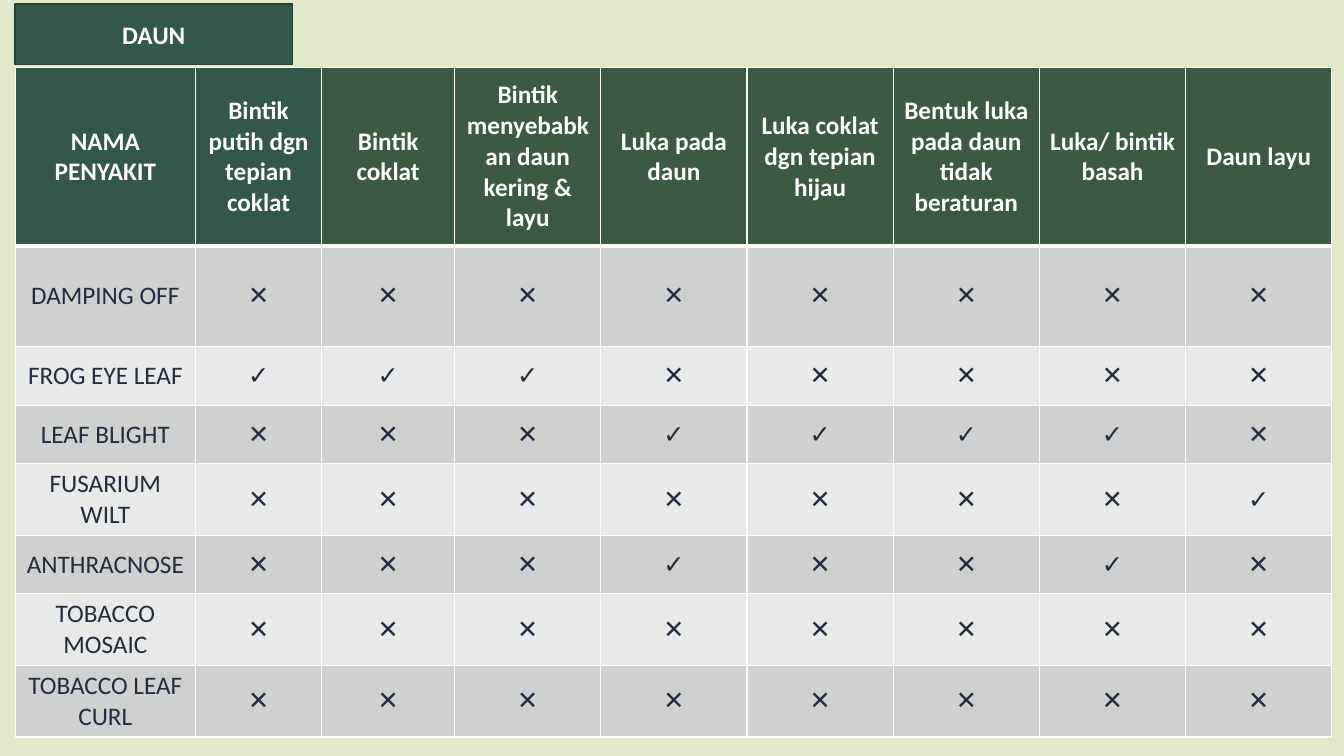
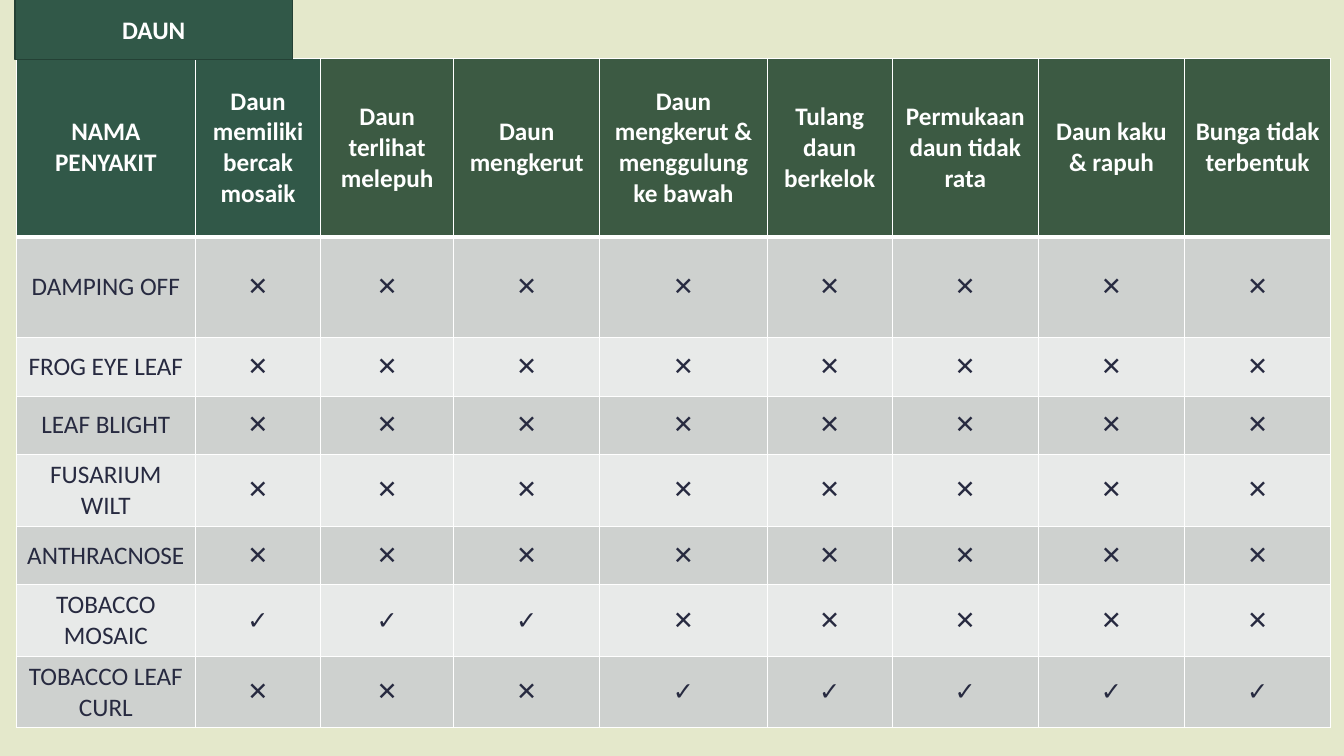
from lxml.etree import SubElement
from pptx import Presentation
from pptx.dml.color import RGBColor
from pptx.enum.text import MSO_ANCHOR, MSO_AUTO_SIZE, PP_ALIGN
from pptx.oxml import parse_xml
from pptx.oxml.ns import nsdecls, qn
from pptx.util import Inches, Pt

COLORS = {
    "background": "E4E8CB",
    "teal": "315848",
    "green": "3C5A43",
    "outline": "244135",
    "band_dark": "CED1CF",
    "band_light": "E8EAE9",
    "ink": "272A40",
    "white": "FFFFFF",
}
FONT = "Calibri"
TEXT_SIZE = 18
TICK, CROSS = "✓", "✕"

DISEASES = [
    "DAMPING OFF", "FROG EYE LEAF", "LEAF BLIGHT", "FUSARIUM WILT",
    "ANTHRACNOSE", "TOBACCO MOSAIC", "TOBACCO LEAF CURL",
]
ROW_HEIGHTS = [1.77, 1.0] + [0.58] * 6

# Ticks give, for each disease, the numbers of the symptom columns that apply
PAGES = [
    {
        "title_top": 0.04,
        "table_at": (0.15, 0.67),
        "widths": [1.79, 1.25, 1.32] + [1.45] * 6,
        "symptoms": [
            "Bintik putih dgn tepian coklat", "Bintik coklat",
            "Bintik menyebabkan daun kering & layu", "Luka pada daun",
            "Luka coklat dgn tepian hijau",
            "Bentuk luka pada daun tidak beraturan",
            "Luka/ bintik basah", "Daun layu",
        ],
        "ticks": {
            "FROG EYE LEAF": (1, 2, 3),
            "LEAF BLIGHT": (4, 5, 6, 7),
            "FUSARIUM WILT": (8,),
            "ANTHRACNOSE": (4, 7),
        },
    },
    {
        "title_top": -0.01,
        "table_at": (0.16, 0.58),
        "widths": [1.78, 1.24, 1.32, 1.45, 1.66, 1.24] + [1.45] * 3,
        "symptoms": [
            "Daun memiliki bercak mosaik", "Daun terlihat melepuh",
            "Daun mengkerut", "Daun mengkerut & menggulung ke bawah",
            "Tulang daun berkelok", "Permukaan daun tidak rata",
            "Daun kaku & rapuh", "Bunga tidak terbentuk",
        ],
        "ticks": {
            "TOBACCO MOSAIC": (1, 2, 3),
            "TOBACCO LEAF CURL": (4, 5, 6, 7, 8),
        },
    },
]


def rgb(name):
    return RGBColor.from_string(COLORS[name])


def paint(fill, color):
    fill.solid()
    fill.fore_color.rgb = rgb(color)


def write(frame, text, color, bold):
    """Put one centred paragraph into a text frame."""
    frame.text = text
    para = frame.paragraphs[0]
    para.alignment = PP_ALIGN.CENTER
    para.font.name = FONT
    para.font.size = Pt(TEXT_SIZE)
    para.font.bold = bold
    para.font.color.rgb = rgb(color)


def add_borders(cell, top, bottom):
    """Draw white borders; top and bottom widths are in points."""
    properties = cell._tc.get_or_add_tcPr()
    for side, width in (("L", 1), ("R", 1), ("T", top), ("B", bottom)):
        line = SubElement(properties, qn(f"a:ln{side}"), w=str(Pt(width)))
        fill = SubElement(line, qn("a:solidFill"))
        SubElement(fill, qn("a:srgbClr"), val=COLORS["white"])


def fill_cell(cell, text, row, column):
    """Style a cell by its place: header, disease name or mark."""
    header = row == 0
    add_borders(cell, top=3 if row == 1 else 1, bottom=3 if header else 1)
    if header:
        background = "teal" if column < 2 else "green"
    else:
        background = "band_dark" if row % 2 else "band_light"
    paint(cell.fill, background)
    cell.vertical_anchor = MSO_ANCHOR.MIDDLE
    write(cell.text_frame, text, "white" if header else "ink",
          bold=header or column > 0)


def add_symptom_table(page, content):
    widths = content["widths"]
    rows = [["NAMA PENYAKIT"] + content["symptoms"]]
    for disease in DISEASES:
        ticked = content["ticks"].get(disease, ())
        marks = [TICK if number in ticked else CROSS
                 for number in range(1, len(widths))]
        rows.append([disease] + marks)

    left, top = content["table_at"]
    table = page.shapes.add_table(
        len(rows), len(widths), Inches(left), Inches(top),
        Inches(sum(widths)), Inches(sum(ROW_HEIGHTS))).table
    for column, width in zip(table.columns, widths):
        column.width = Inches(width)
    for row, height in zip(table.rows, ROW_HEIGHTS):
        row.height = Inches(height)
    for row, texts in enumerate(rows):
        for column, text in enumerate(texts):
            fill_cell(table.cell(row, column), text, row, column)


def add_title_tab(page, text, top):
    """Turn the title placeholder into a rounded tab above the table."""
    title = page.shapes.title
    title.left, title.top = Inches(0.15), Inches(top)
    title.width, title.height = Inches(2.75), Inches(0.6)
    title._element.spPr.append(parse_xml(
        f'<a:prstGeom {nsdecls("a")} prst="roundRect"><a:avLst/></a:prstGeom>'))
    paint(title.fill, "teal")
    paint(title.line.fill, "outline")
    title.line.width = Pt(1)
    frame = title.text_frame
    frame.auto_size = MSO_AUTO_SIZE.NONE
    frame.word_wrap = True
    frame.vertical_anchor = MSO_ANCHOR.MIDDLE
    write(frame, text, "white", bold=True)
    # Bring the tab in front of the table
    page.shapes._spTree.append(title._element)


def main():
    deck = Presentation()
    deck.slide_width, deck.slide_height = Inches(13.33), Inches(7.5)
    paint(deck.slide_master.background.fill, "background")
    title_only = deck.slide_layouts[5]
    for content in PAGES:
        page = deck.slides.add_slide(title_only)
        add_symptom_table(page, content)
        add_title_tab(page, "DAUN", content["title_top"])
    deck.save("out.pptx")


if __name__ == "__main__":
    main()
